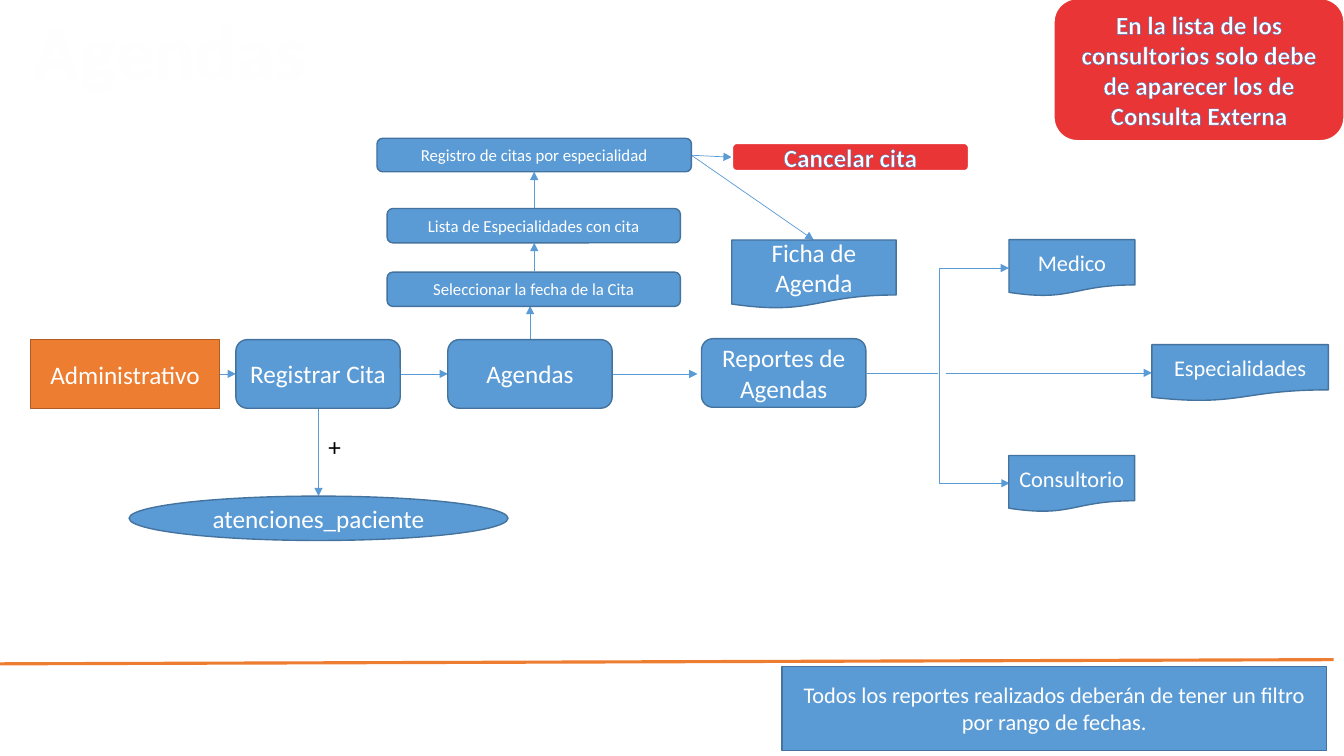
"""Builds the appointment agenda flow slide."""
from lxml.etree import SubElement
from pptx import Presentation
from pptx.dml.color import RGBColor
from pptx.enum.shapes import MSO_CONNECTOR as LINK, MSO_SHAPE as SHAPE
from pptx.enum.text import MSO_ANCHOR as ANCHOR, MSO_AUTO_SIZE as FIT, PP_ALIGN as ALIGN
from pptx.oxml import parse_xml
from pptx.oxml.ns import nsdecls, qn
from pptx.util import Pt

COLORS = {
    "blue": "5B9BD5", "blue_edge": "43739E", "orange": "ED7D31",
    "orange_edge": "AF5C24", "red": "E93535", "white": "FFFFFF",
    "title": "FEFEFE", "glyph_edge": "4472C4", "black": "000000",
}

STEP = (117.4, 49)
DETAIL = (209.5, 24.5)
REPORT = (90, 40.3)
STEPS_TOP = 242.6

BOXES = [
    ("Registrar Cita", SHAPE.ROUNDED_RECTANGLE, (168.5, STEPS_TOP, *STEP), 18),
    ("Agendas", SHAPE.ROUNDED_RECTANGLE, (319.9, STEPS_TOP, *STEP), 18),
    ("Reportes de Agendas", SHAPE.ROUNDED_RECTANGLE, (501.1, 241.9, *STEP), 18),
    ("Ficha de Agenda", SHAPE.FLOWCHART_DOCUMENT, (522.7, 171.4, *STEP), 18),
    ("Registro de citas por especialidad", SHAPE.ROUNDED_RECTANGLE,
     (269.3, 98.8, 224.6, 23.9), 12),
    ("Lista de Especialidades con cita", SHAPE.ROUNDED_RECTANGLE, (276.5, 149, *DETAIL), 12),
    ("Seleccionar la fecha de la Cita", SHAPE.ROUNDED_RECTANGLE, (276.5, 194.4, *DETAIL), 12),
    ("Medico", SHAPE.FLOWCHART_DOCUMENT, (720.7, 171.2, *REPORT), 16),
    ("Especialidades", SHAPE.FLOWCHART_DOCUMENT, (822.8, 246.2, 126, 40.3), 16),
    ("Consultorio", SHAPE.FLOWCHART_DOCUMENT, (720.5, 325.4, *REPORT), 16),
    ("atenciones_paciente", SHAPE.OVAL, (92.2, 354.4, 270.7, 31.7), 18),
    ("Todos los reportes realizados deberán de tener un filtro por rango de fechas.",
     SHAPE.RECTANGLE, (558.7, 476, 388.8, 59.9), 16),
]

ALERTS = [
    ("Cancelar cita", (522.9, 102.2, 169.2, 20)),
    ("En la lista de los consultorios solo debe de aparecer los de Consulta Externa",
     (752.6, -1.2, 207.7, 102)),
]

ARROWS = [
    ((157, 267.1), (168.5, 267.1)),
    ((286.2, 267.1), (319.9, 267.1)),
    ((437.6, 267.1), (498.2, 267.1)),
    ((378.7, 243), (378.7, 218.5)),
    ((381.6, 193.7), (381.6, 173.5)),
    ((381.6, 149), (381.6, 122.7)),
    ((493.9, 110.9), (522.7, 112.3)),
    ((493.9, 110.9), (581.2, 171.4)),
    ((671, 191.5), (720.7, 191.5)),
    ((675.4, 266.4), (822.8, 266.4)),
    ((671.6, 345.2), (721.2, 345.2)),
    ((227.5, 291.6), (227.5, 354.4)),
]

BRANCHES = [((619.2, 266.4), (670.3, 266.4)), ((671, 191.5), (671, 345.6))]


def color(name):
    """Return the named colour."""
    return RGBColor.from_string(COLORS[name])


def place(shape, left, top, width, height):
    """Position a shape in points."""
    shape.left, shape.top = Pt(left), Pt(top)
    shape.width, shape.height = Pt(width), Pt(height)


def write(shape, text, size, ink, align=ALIGN.CENTER, bold=False):
    """Fill a shape with one formatted paragraph and return its run."""
    frame = shape.text_frame
    frame.text = text
    paragraph = frame.paragraphs[0]
    paragraph.alignment = align
    run = paragraph.runs[0]
    run.font.name, run.font.size, run.font.bold = "Calibri", Pt(size), bold
    run.font.color.rgb = color(ink)
    return run


def outline_glyphs(run, name, width):
    """Draw a coloured contour around the letters of a run."""
    contour = parse_xml(
        f'<a:ln {nsdecls("a")} w="{Pt(width)}"><a:solidFill>'
        f'<a:srgbClr val="{COLORS[name]}"/></a:solidFill></a:ln>')
    run.font._element.insert(0, contour)


def add_box(slide, text, kind, area, size, fill="blue", edge="blue_edge", weight=1, bold=False):
    """Add a filled shape with centred text and return its run."""
    box = slide.shapes.add_shape(kind, *map(Pt, area))
    box.shadow.inherit = False
    box.fill.solid()
    box.fill.fore_color.rgb = color(fill)
    box.line.color.rgb = color(edge)
    box.line.width = Pt(weight)
    box.text_frame.word_wrap = True
    box.text_frame.vertical_anchor = ANCHOR.MIDDLE
    return write(box, text, size, "white", bold=bold)


def add_alert(slide, text, area):
    """Add a red box with outlined bold text."""
    run = add_box(slide, text, SHAPE.ROUNDED_RECTANGLE, area, 18, "red", "white", 1.5, True)
    outline_glyphs(run, "glyph_edge", 0.8)


def add_link(slide, start, end, arrow=False, ink="blue", weight=0.5):
    """Add a straight line, optionally ending in an arrowhead."""
    link = slide.shapes.add_connector(LINK.STRAIGHT, *map(Pt, start + end))
    link.line.color.rgb = color(ink)
    link.line.width = Pt(weight)
    if arrow:
        SubElement(link.line._get_or_add_ln(), qn("a:tailEnd"), type="triangle")
    SubElement(link._element.spPr, qn("a:effectLst"))


def add_title(slide):
    """Format the title placeholder with outlined letters."""
    title = slide.shapes.title
    place(title, 15.8, -0.7, 211, 72.7)
    run = write(title, "Agendas", 54, "title", bold=True)
    title.text_frame.word_wrap = False
    title.text_frame.auto_size = FIT.NONE
    title.text_frame.vertical_anchor = ANCHOR.TOP
    run.font._element.set("spc", "50")
    outline_glyphs(run, "blue", 0.75)


def add_plus(slide):
    """Add the plus sign beside the arrow to patient visits."""
    plus = slide.shapes.add_textbox(*map(Pt, (227.5, 304.6, 19.4, 28.8)))
    plus.text_frame.word_wrap = True
    write(plus, "+", 18, "black", ALIGN.LEFT)


def main():
    """Build and save the slide."""
    deck = Presentation()
    deck.slide_width, deck.slide_height = Pt(960), Pt(540)
    slide = deck.slides.add_slide(deck.slide_layouts[5])
    add_title(slide)
    add_link(slide, (-4.3, 474.2), (952.6, 471.2), ink="orange", weight=2.25)
    for start, end in BRANCHES:
        add_link(slide, start, end)
    for start, end in ARROWS:
        add_link(slide, start, end, arrow=True)
    add_box(slide, "Administrativo", SHAPE.RECTANGLE, (21.6, STEPS_TOP, 135.4, 49), 18,
            "orange", "orange_edge")
    for box in BOXES:
        add_box(slide, *box)
    for alert in ALERTS:
        add_alert(slide, *alert)
    add_plus(slide)
    deck.save("out.pptx")


if __name__ == "__main__":
    main()
